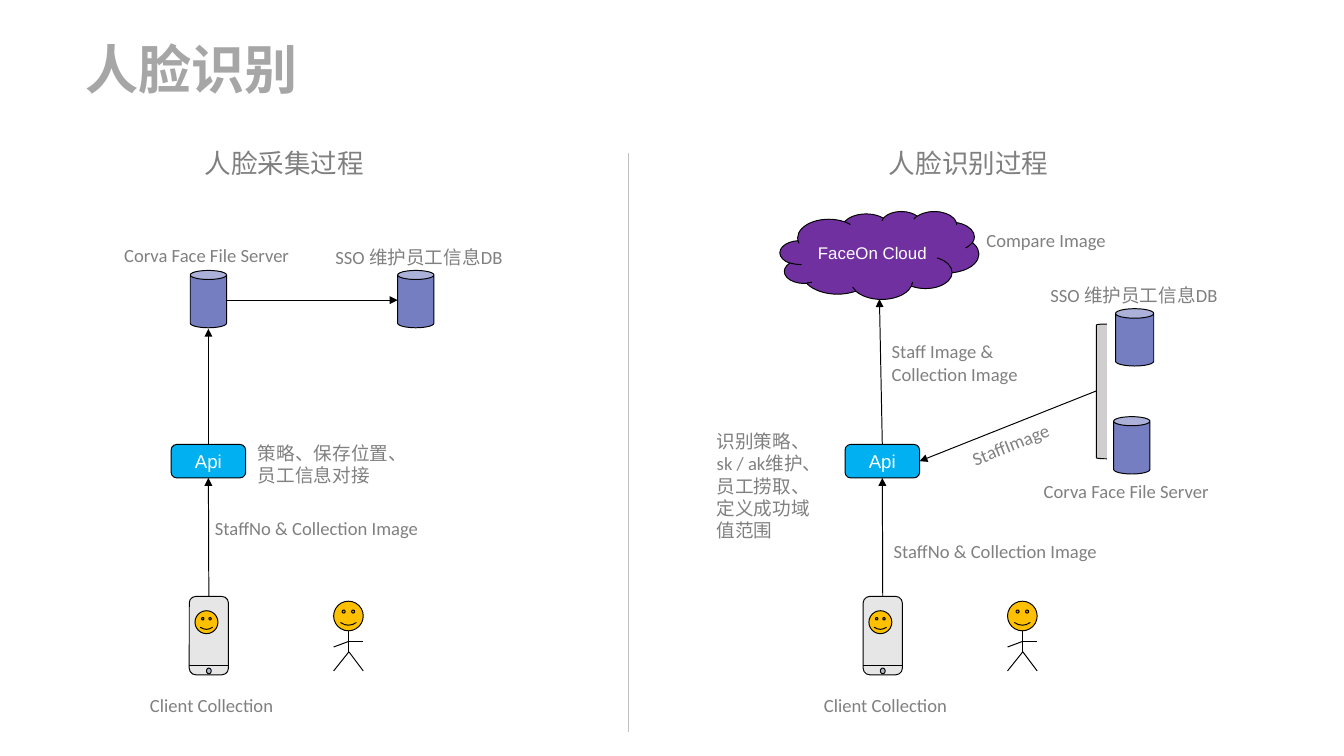
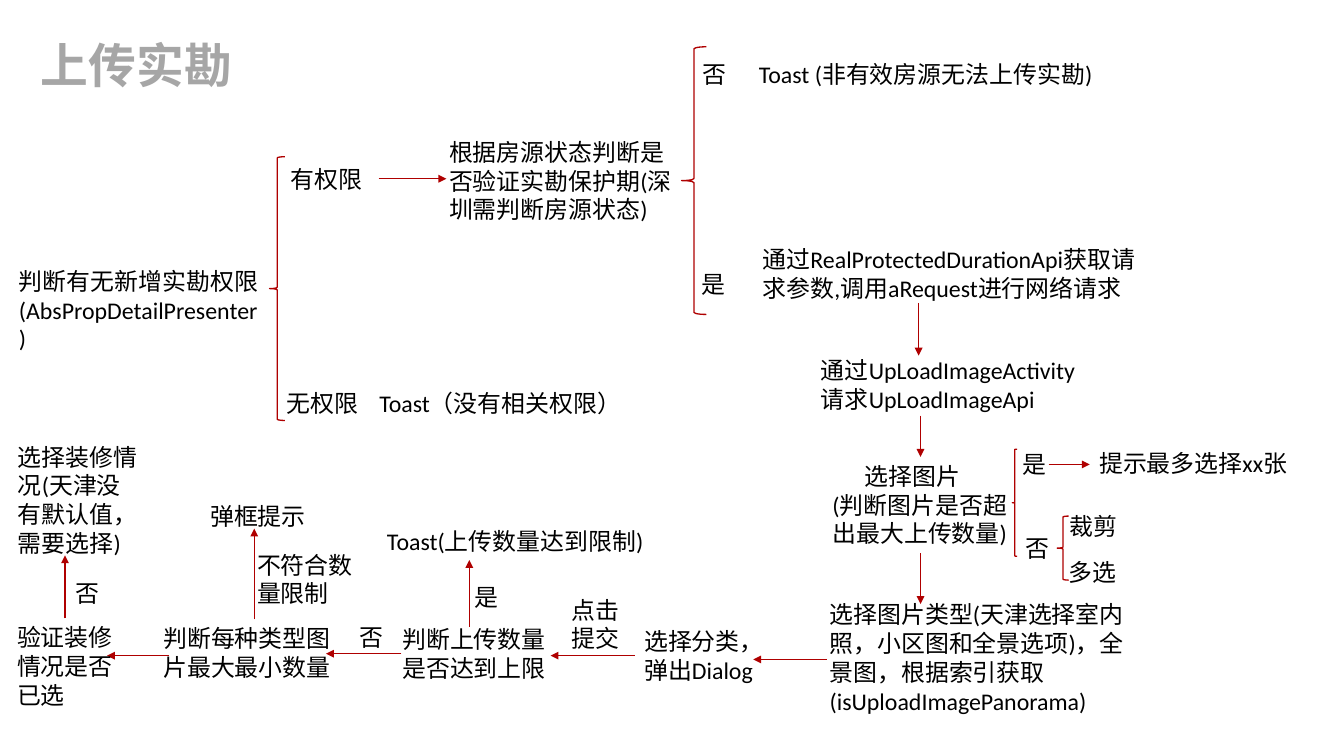
from dataclasses import dataclass
from lxml.etree import SubElement
from pptx import Presentation
from pptx.dml.color import RGBColor
from pptx.enum.shapes import MSO_CONNECTOR, MSO_SHAPE as Shape
from pptx.enum.text import MSO_ANCHOR, MSO_AUTO_SIZE, PP_ALIGN
from pptx.oxml.ns import qn
from pptx.util import Inches, Pt


@dataclass(frozen=True)
class Theme:
    latin: str = "Calibri"
    shape_font: str = "Arial"
    chinese: str = "Noto Sans CJK SC"
    title: str = "A6A6A6"
    grey: str = "808080"
    black: str = "000000"
    white: str = "FFFFFF"
    divider: str = "BFBFBF"
    red: str = "AF0000"
    can: str = "747EC0"
    api: str = "00B0F0"
    cloud: str = "7030A0"
    phone: str = "E7E6E6"
    button: str = "ADB9CA"
    face: str = "FFC000"
    bracket: str = "D0CECE"
    label_size: float = 14
    heading_size: float = 20
    flow_size: float = 18
    cloud_size: float = 12.7


THEME = Theme()
TOP, LEFT, BOTTOM, RIGHT = 0, 1, 2, 3  # connection sites of a rectangle

# Content of the face recognition slide
PANEL_LEFTS = (0, 7.05)
HEADINGS = [("人脸采集过程", 2.04, 1.49, 1.88), ("人脸识别过程", 9.2, 1.49, 1.88)]
# text, left, top, width, lines
FACE_LABELS = [
    ("SSO 维护员工信息DB", 3.41, 2.52, 1.96, 1),
    ("Corva Face File Server", 1.2, 2.5, 1.96, 1),
    ("策略、保存位置、员工信息对接", 2.6, 4.57, 1.75, 2),
    ("SSO 维护员工信息DB", 10.89, 2.92, 1.96, 1),
    ("Corva Face File Server", 10.82, 4.97, 1.96, 1),
    ("识别策略、sk / ak维护、员工捞取、\n定义成功域值范围", 7.4, 4.45, 1.2, 5),
    ("Staff Image & Collection Image", 9.23, 3.51, 1.65, 2),
    ("Compare Image", 10.22, 2.35, 1.48, 1),
]
ONE_LINE_LABELS = [
    ("StaffNo & Collection Image", 2.15, 5.36, 2.35),
    ("StaffNo & Collection Image", 9.25, 5.6, 2.35),
]
CANS = [(1.99, 2.83, 0.38, 0.6), (4.16, 2.83, 0.38, 0.6),
        (11.67, 3.23, 0.4, 0.6), (11.65, 4.36, 0.38, 0.6)]
# Trunk, two legs and two arms, measured from the middle of the neck
LIMBS = [(0, 0, 0, 0.22), (0, 0.22, -0.16, 0.42), (0, 0.22, 0.15, 0.42),
         (0, 0.11, 0.15, 0.11), (0, 0.11, -0.16, 0.17)]

# Content of the upload slide: text, left, top, width, lines, first-line indent
STEPS = [
    ("判断有无新增实勘权限(AbsPropDetailPresenter)", 0.1, 2.74, 2.76, 2),
    ("有权限", 2.94, 1.67, 1.02, 1),
    ("无权限", 2.9, 4.02, 1.02, 1),
    ("Toast（没有相关权限）", 3.87, 4.02, 3.56, 1),
    ("根据房源状态判断是否验证实勘保护期(深圳需判断房源状态)", 4.6, 1.39, 2.6, 3),
    ("否", 7.25, 0.58, 0.63, 1),
    ("是", 7.24, 2.77, 0.94, 1),
    ("Toast (非有效房源无法上传实勘)", 7.84, 0.57, 3.78, 1),
    ("通过RealProtectedDurationApi获取请求参数,调用aRequest进行网络请求",
     7.88, 2.51, 4.24, 2),
    ("通过UpLoadImageActivity请求UpLoadImageApi", 8.49, 3.67, 3.02, 2),
    ("选择图片\n(判断图片是否超出最大上传数量)", 8.61, 4.78, 2.05, 3, 0.34),
    ("是", 10.6, 4.66, 0.51, 1),
    ("提示最多选择xx张", 11.4, 4.64, 2.6, 1),
    ("否", 10.63, 5.53, 0.6, 1),
    ("裁剪", 11.09, 5.3, 1.04, 1),
    ("多选", 11.08, 5.79, 1.04, 1),
    ("选择图片类型(天津选择室内照，小区图和全景选项)，全景图，根据索引获取"
     "(isUploadImagePanorama)", 8.58, 6.23, 3.38, 4),
    ("选择分类，弹出Dialog", 6.64, 6.51, 1.57, 2),
    ("点击\n提交", 5.88, 6.18, 1.24, 2),
    ("判断上传数量\n是否达到上限", 4.11, 6.49, 2.13, 2),
    ("是", 4.87, 6.05, 0.6, 1),
    ("Toast(上传数量达到限制)", 3.95, 5.46, 2.98, 1),
    ("否", 3.66, 6.47, 0.6, 1),
    ("判断每种类型图片最大最小数量", 1.61, 6.48, 2.1, 2),
    ("不符合数量限制", 2.59, 5.71, 1.32, 2),
    ("弹框提示", 2.1, 5.2, 1.61, 1),
    ("验证装修情况是否已选", 0.08, 6.47, 1.21, 3),
    ("否", 0.69, 6.01, 0.59, 1),
    ("选择装修情况(天津没有默认值，需要选择)", 0.09, 4.58, 1.5, 4),
]
BRACES = [(2.82, 1.64, 0.16, 2.76), (7.13, 0.49, 0.26, 2.8),
          (10.59, 4.7, 0.05, 1.12), (11.06, 5.4, 0.12, 0.67)]
# from x, from y, to x, to y
STEP_ARROWS = [
    (3.96, 1.87, 4.67, 1.87), (9.61, 3.17, 9.61, 3.72),
    (9.63, 4.35, 9.63, 4.78), (9.63, 5.79, 9.63, 6.32),
    (10.97, 4.86, 11.4, 4.86), (8.65, 6.9, 7.88, 6.9),
    (6.64, 6.86, 5.76, 6.86), (4.91, 6.56, 4.91, 5.86),
    (4.2, 6.84, 3.41, 6.84), (2.66, 6.48, 2.66, 5.53),
    (1.77, 6.86, 1.12, 6.86), (0.68, 6.47, 0.68, 5.81),
]


# Drawing helpers
def write(frame, text, *, size, color, font=THEME.latin, bold=False,
          align=PP_ALIGN.LEFT, indent=0):
    """Fill a text frame, one paragraph for each line of the text."""
    for number, line in enumerate(text.split("\n")):
        para = frame.add_paragraph() if number else frame.paragraphs[0]
        para.alignment = align
        if indent and number == 0:
            para._p.get_or_add_pPr().set("indent", str(Inches(indent)))
        span = para.add_run()
        span.text = line
        span.font.size = Pt(size)
        span.font.bold = bold
        span.font.name = font
        span.font.color.rgb = RGBColor.from_string(color)
        SubElement(span.font._element, qn("a:ea"), typeface=THEME.chinese)


def add_text(page, text, left, top, width, lines=1, *, size=THEME.label_size,
             color=THEME.grey, wrap=True, rotation=0, **style):
    height = 0.1 + lines * size / 60
    box = page.shapes.add_textbox(*map(Inches, (left, top, width, height)))
    box.rotation = rotation
    box.text_frame.word_wrap = wrap
    box.text_frame.auto_size = MSO_AUTO_SIZE.SHAPE_TO_FIT_TEXT
    write(box.text_frame, text, size=size, color=color, **style)


def add_title(page, text, left, size):
    add_text(page, text, left, 0.33, 2.5, size=size, color=THEME.title,
             font=THEME.shape_font, bold=True, wrap=False)


def add_figure(shapes, kind, place, *, fill=None, line=THEME.black, weight=0.75):
    figure = shapes.add_shape(kind, *map(Inches, place))
    figure.shadow.inherit = False
    if fill:
        figure.fill.solid()
        figure.fill.fore_color.rgb = RGBColor.from_string(fill)
    else:
        figure.fill.background()
    figure.line.color.rgb = RGBColor.from_string(line)
    figure.line.width = Pt(weight)
    return figure


def add_node(page, kind, place, text, *, fill, size=THEME.label_size):
    node = add_figure(page.shapes, kind, place, fill=fill)
    node.text_frame.vertical_anchor = MSO_ANCHOR.MIDDLE
    write(node.text_frame, text, size=size, color=THEME.white,
          font=THEME.shape_font, align=PP_ALIGN.CENTER)
    return node


def add_line(shapes, ends, *, color=THEME.black, weight=0.75, arrow=False,
             start=None, finish=None):
    """Draw a line; start and finish are optional (shape, site) joints."""
    line = shapes.add_connector(MSO_CONNECTOR.STRAIGHT, *map(Inches, ends))
    line.line.color.rgb = RGBColor.from_string(color)
    line.line.width = Pt(weight)
    if arrow:
        SubElement(line.line._get_or_add_ln(), qn("a:tailEnd"), type="triangle")
    SubElement(line._element.spPr, qn("a:effectLst"))
    if start:
        line.begin_connect(*start)
    if finish:
        line.end_connect(*finish)


# Parts of the face recognition slide
def add_phone(page, left):
    phone = page.shapes.add_group_shape().shapes
    case = add_figure(phone, Shape.ROUNDED_RECTANGLE, (left, 6.24, 0.41, 0.82),
                      fill=THEME.phone)
    add_line(phone, (left, 6.96, left + 0.41, 6.96))
    add_figure(phone, Shape.OVAL, (left + 0.18, 6.99, 0.05, 0.06), fill=THEME.button)
    add_figure(phone, Shape.SMILEY_FACE, (left + 0.06, 6.39, 0.24, 0.24),
               fill=THEME.face)
    return case


def add_person(page, left):
    person = page.shapes.add_group_shape().shapes
    add_figure(person, Shape.SMILEY_FACE, (left, 6.29, 0.31, 0.31), fill=THEME.face)
    neck_x, neck_y = left + 0.16, 6.6
    for x1, y1, x2, y2 in LIMBS:
        add_line(person, (neck_x + x1, neck_y + y1, neck_x + x2, neck_y + y2))


def add_client(page, left):
    """Draw phone, person and Api of one panel, and return the Api."""
    phone = add_phone(page, left + 1.98)
    add_person(page, left + 3.49)
    add_text(page, "Client Collection", left + 1.47, 7.21, 1.51, wrap=False)
    api = add_node(page, Shape.ROUNDED_RECTANGLE, (left + 1.79, 4.65, 0.78, 0.35),
                   "Api", fill=THEME.api)
    add_line(page.shapes, (left + 2.18, 6.24, left + 2.18, 5), arrow=True,
             start=(phone, TOP), finish=(api, BOTTOM))
    return api


def build_face_slide(page):
    add_title(page, "人脸识别", 0.8, 40)
    add_line(page.shapes, (6.58, 1.6, 6.58, 7.66), color=THEME.divider)
    collect_api, match_api = [add_client(page, left) for left in PANEL_LEFTS]

    # Storage and cloud
    for place in CANS:
        add_figure(page.shapes, Shape.CAN, place, fill=THEME.can)
    add_figure(page.shapes, Shape.LEFT_BRACKET, (11.47, 3.39, 0.11, 1.41),
               fill=THEME.bracket)
    add_node(page, Shape.CLOUD, (8.16, 2.21, 2.08, 0.92), "FaceOn Cloud",
             fill=THEME.cloud, size=THEME.cloud_size)

    # Arrows
    add_line(page.shapes, (2.37, 3.14, 4.16, 3.14), arrow=True)
    add_line(page.shapes, (2.18, 4.65, 2.18, 3.44), arrow=True,
             start=(collect_api, TOP))
    add_line(page.shapes, (9.22, 4.65, 9.2, 3.13), arrow=True,
             start=(match_api, TOP))
    add_line(page.shapes, (11.47, 4.09, 9.61, 4.83), arrow=True,
             finish=(match_api, RIGHT))

    # Words
    for heading in HEADINGS:
        add_text(page, *heading, size=THEME.heading_size, font=THEME.chinese,
                 wrap=False)
    for label in FACE_LABELS:
        add_text(page, *label)
    for label in ONE_LINE_LABELS:
        add_text(page, *label, wrap=False)
    add_text(page, "StaffImage", 10.05, 4.48, 1.06, wrap=False, rotation=338.2)


def build_upload_slide(page):
    add_title(page, "上传实勘", 0.33, 36)
    for place in BRACES:
        add_figure(page.shapes, Shape.LEFT_BRACE, place, line=THEME.red, weight=1)
    for ends in STEP_ARROWS:
        add_line(page.shapes, ends, color=THEME.red, weight=1, arrow=True)
    for text, left, top, width, lines, *indent in STEPS:
        add_text(page, text, left, top, width, lines, size=THEME.flow_size,
                 color=THEME.black, indent=sum(indent))


def main():
    deck = Presentation()
    deck.slide_width, deck.slide_height = Inches(14.06), Inches(7.91)
    for build in (build_face_slide, build_upload_slide):
        build(deck.slides.add_slide(deck.slide_layouts[6]))
    deck.save("out.pptx")


if __name__ == "__main__":
    main()
